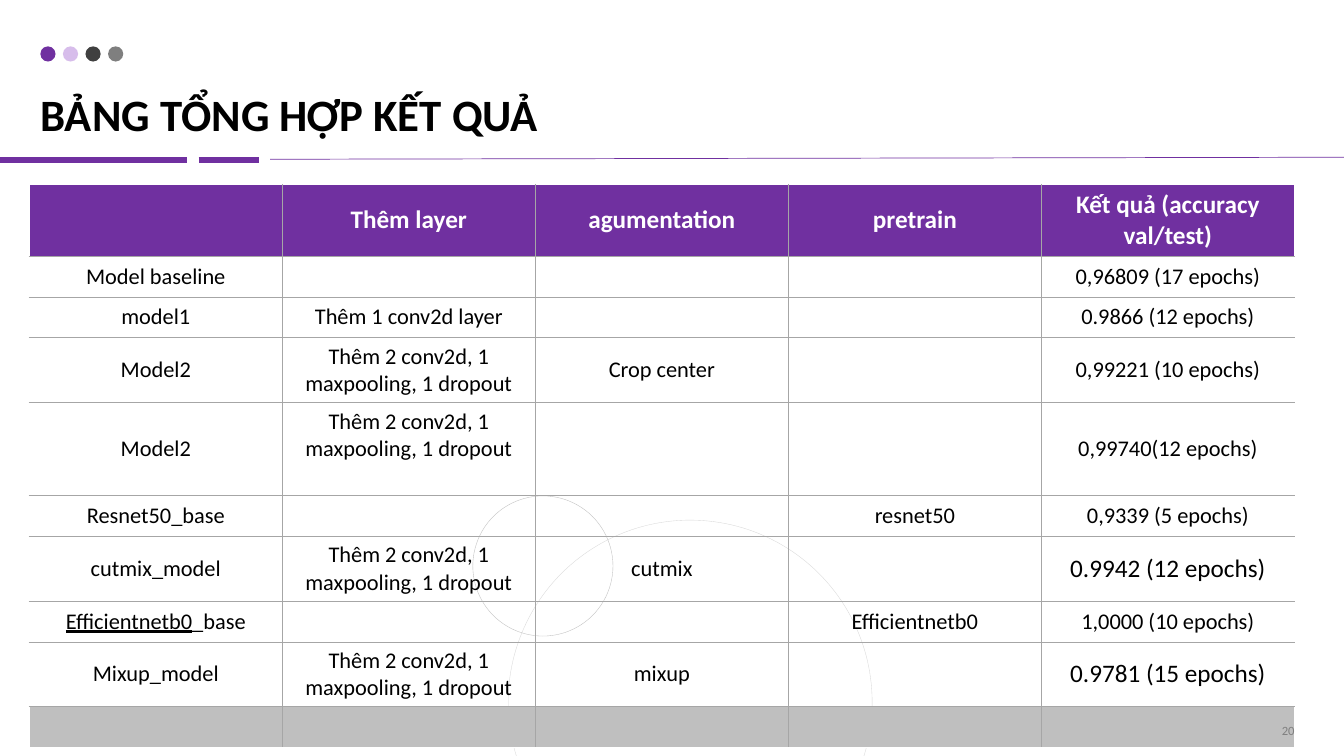
from lxml import etree
from pptx import Presentation
from pptx.dml.color import RGBColor
from pptx.enum.shapes import MSO_CONNECTOR, MSO_SHAPE
from pptx.enum.text import MSO_ANCHOR, PP_ALIGN
from pptx.oxml.ns import qn
from pptx.util import Inches, Pt

STRAIGHT = MSO_CONNECTOR.STRAIGHT
OVAL = MSO_SHAPE.OVAL
MIDDLE, BOTTOM = MSO_ANCHOR.MIDDLE, MSO_ANCHOR.BOTTOM
LEFT, CENTER, RIGHT = PP_ALIGN.LEFT, PP_ALIGN.CENTER, PP_ALIGN.RIGHT

WIDTH, HEIGHT = Inches(13.33), Inches(7.5)
FONT = "Calibri"
COLORS = {
    "purple": "7030A0", "lilac": "C7A2E3", "charcoal": "404040",
    "gray": "7F7F7F", "border": "A6A6A6", "silver": "BFBFBF",
    "pale": "D9D9D9", "white": "FFFFFF", "black": "000000",
}

TWO_CONV = "Thêm 2 conv2d, 1 maxpooling, 1 dropout"
# A cell holds one text, or a tuple of an underlined text and a plain one.
ROWS = [
    ["", "Thêm layer", "agumentation", "pretrain", "Kết quả (accuracy val/test)"],
    ["Model baseline", "", "", "", "0,96809 (17 epochs)"],
    ["model1", "Thêm 1 conv2d layer", "", "", "0.9866 (12 epochs)"],
    ["Model2", TWO_CONV, "Crop center", "", "0,99221 (10 epochs)"],
    ["Model2", TWO_CONV, "", "", "0,99740(12 epochs)"],
    ["Resnet50_base", "", "", "resnet50", "0,9339 (5 epochs)"],
    ["cutmix_model", TWO_CONV, "cutmix", "", "0.9942 (12 epochs)"],
    [("Efficientnetb0", "_base"), "", "", "Efficientnetb0", "1,0000 (10 epochs)"],
    ["Mixup_model", TWO_CONV, "mixup", "", "0.9781 (15 epochs)"],
    ["", "", "", "", ""],
]
HEADER, SINGLE, DOUBLE, TALL = 9.47, 5.4, 8.58, 12.3
ROW_HEIGHTS = [HEADER, SINGLE, SINGLE, DOUBLE, TALL,
               SINGLE, DOUBLE, SINGLE, DOUBLE, SINGLE]
LAST_ROW, LAST_COLUMN = len(ROWS) - 1, len(ROWS[0]) - 1
TALL_ROW = ROW_HEIGHTS.index(TALL)
LARGE_CELLS = {(6, LAST_COLUMN), (8, LAST_COLUMN)}


def across(percent):
    return round(WIDTH * percent / 100)


def down(percent):
    return round(HEIGHT * percent / 100)


def color(name):
    return RGBColor.from_string(COLORS[name])


def add_rule(slide, start, end, weight):
    line = slide.shapes.add_connector(
        STRAIGHT, across(start[0]), down(start[1]), across(end[0]), down(end[1]))
    line.line.color.rgb = color("purple")
    line.line.width = Pt(weight)
    etree.SubElement(line._element.spPr, qn("a:effectLst"))


def add_circle(slide, left, top, diameter, fill=None, outline=None, opacity=100):
    circle = slide.shapes.add_shape(
        OVAL, across(left), down(top), across(diameter), across(diameter))
    circle.shadow.inherit = False
    if fill:
        circle.fill.solid()
        circle.fill.fore_color.rgb = color(fill)
        if opacity < 100:
            tint = circle._element.spPr.find(".//" + qn("a:srgbClr"))
            etree.SubElement(tint, qn("a:alpha"), val=str(opacity * 1000))
    else:
        circle.fill.background()
    if outline:
        circle.line.color.rgb = color(outline)
        circle.line.width = Pt(0.25)
    else:
        circle.line.fill.background()


def add_run(paragraph, text, size, color_name, bold=False, underline=False):
    run = paragraph.add_run()
    run.text = text
    run.font.name = FONT
    run.font.size = Pt(size)
    run.font.bold = bold
    run.font.underline = underline
    run.font.color.rgb = color(color_name)


def add_text(slide, box, text, size, color_name, anchor, align, bold=False, inset=0):
    left, top, width, height = box
    shape = slide.shapes.add_textbox(across(left), down(top), across(width), down(height))
    frame = shape.text_frame
    frame.word_wrap = True
    frame.vertical_anchor = anchor
    frame.margin_left = frame.margin_right = across(inset)
    frame.margin_top = frame.margin_bottom = 0
    paragraph = frame.paragraphs[0]
    paragraph.alignment = align
    paragraph.line_spacing = 0.9
    add_run(paragraph, text, size, color_name, bold)


def set_borders(cell, row, column):
    """Draw white outer edges and thin gray inner ones."""
    outer_edges = {
        "a:lnL": column == 0,
        "a:lnR": column == LAST_COLUMN,
        "a:lnT": row == 0,
        "a:lnB": row == LAST_ROW,
    }
    properties = cell._tc.get_or_add_tcPr()
    for tag, outer in outer_edges.items():
        weight, name = (1, "white") if outer else (0.5, "border")
        edge = etree.SubElement(properties, qn(tag), w=str(Pt(weight)))
        fill = etree.SubElement(edge, qn("a:solidFill"))
        etree.SubElement(fill, qn("a:srgbClr"), val=COLORS[name])


def fill_cell(cell, row, column):
    set_borders(cell, row, column)
    row_fill = {0: "purple", LAST_ROW: "silver"}.get(row)
    if row_fill:
        cell.fill.solid()
        cell.fill.fore_color.rgb = color(row_fill)
    else:
        cell.fill.background()
    cell.vertical_anchor = MIDDLE
    content = ROWS[row][column]
    if not content:
        return
    paragraph = cell.text_frame.paragraphs[0]
    paragraph.alignment = CENTER
    if row == 0:
        add_run(paragraph, content, 18, "white", bold=True)
    elif isinstance(content, tuple):
        underlined, plain = content
        add_run(paragraph, underlined, 16, "black", underline=True)
        add_run(paragraph, plain, 16, "black")
    else:
        size = 18 if (row, column) in LARGE_CELLS else 16
        add_run(paragraph, content, size, "black")


def add_results_table(slide):
    table = slide.shapes.add_table(
        len(ROWS), len(ROWS[0]), across(2.18), down(24.4),
        across(94.13), down(sum(ROW_HEIGHTS))).table
    table.first_row = table.horz_banding = False
    for column in table.columns:
        column.width = across(94.13 / len(ROWS[0]))
    for row, height in enumerate(ROW_HEIGHTS):
        table.rows[row].height = down(height)
        for column in range(len(ROWS[row])):
            fill_cell(table.cell(row, column), row, column)
    table.cell(TALL_ROW, 1).margin_bottom = down(4.3)


def main():
    presentation = Presentation()
    presentation.slide_width, presentation.slide_height = WIDTH, HEIGHT
    slide = presentation.slides.add_slide(presentation.slide_layouts[6])

    add_rule(slide, (0, 21.2), (13.88, 21.2), 4.5)
    add_rule(slide, (14.78, 21.2), (19.28, 21.2), 4.5)
    add_rule(slide, (20.1, 21.07), (100, 20.8), 0.5)

    dots = [("purple", 100), ("lilac", 70), ("charcoal", 100), ("gray", 100)]
    for index, (name, opacity) in enumerate(dots):
        add_circle(slide, 3 + 1.68 * index, 6.13, 1.13, fill=name, opacity=opacity)
    add_circle(slide, 37.81, 68.8, 27.08, outline="pale")
    add_circle(slide, 35.18, 65.6, 10.43, outline="silver")

    add_text(slide, (3, 3.6, 94.07, 15.07), "BẢNG TỔNG HỢP KẾT QUẢ",
             32, "black", BOTTOM, LEFT, bold=True)
    add_results_table(slide)
    add_text(slide, (74.57, 94.93, 22.5, 3.6), "20", 9, "gray", MIDDLE, RIGHT, inset=0.75)

    presentation.save("out.pptx")


if __name__ == "__main__":
    main()
